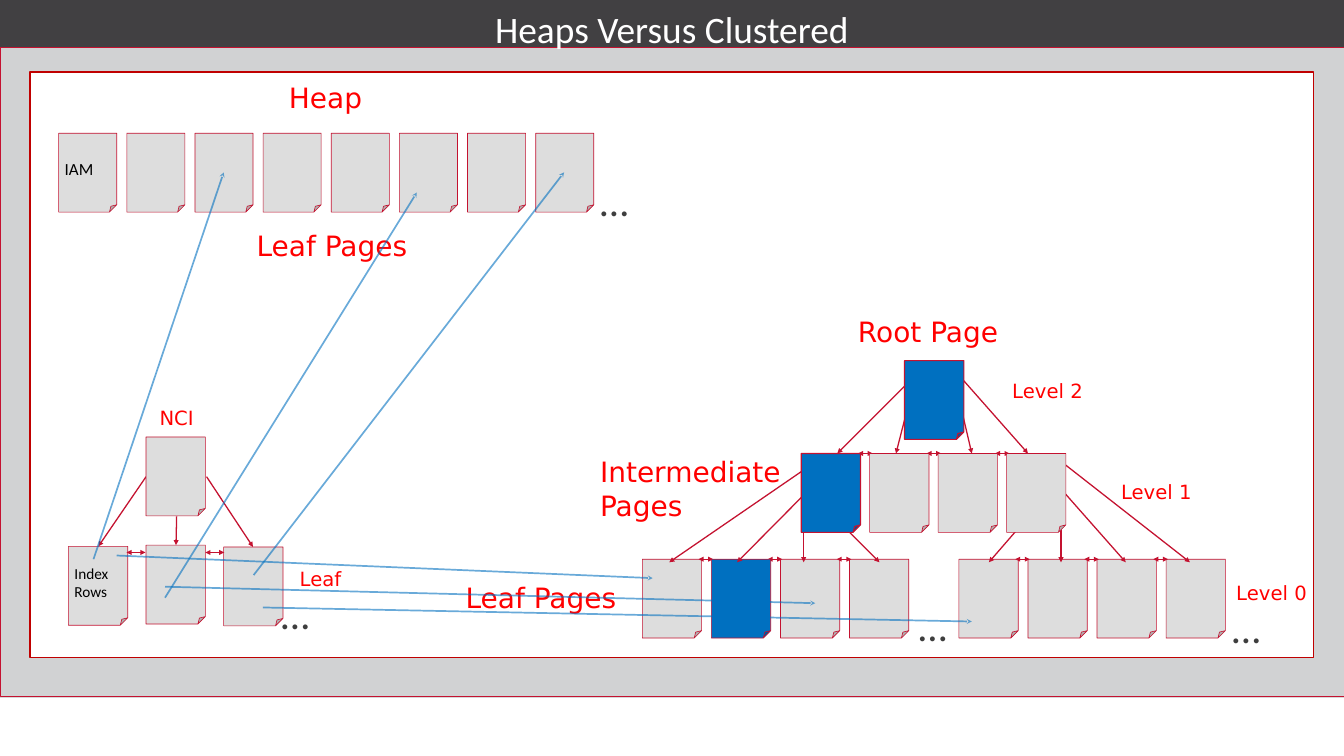
"""Build a slide comparing heap pages with the pages of a clustered index."""
from lxml.etree import SubElement
from pptx import Presentation
from pptx.dml.color import RGBColor
from pptx.enum.shapes import MSO_CONNECTOR, MSO_SHAPE
from pptx.enum.text import MSO_ANCHOR, MSO_AUTO_SIZE, PP_ALIGN
from pptx.oxml.ns import qn
from pptx.util import Inches, Pt

DARK = RGBColor(0x41, 0x40, 0x42)
PANEL = RGBColor(0xD1, 0xD2, 0xD3)
RULE = RGBColor(0xD8, 0xD8, 0xD8)
PAGE = RGBColor(0xDD, 0xDD, 0xDD)
WHITE = RGBColor(0xFF, 0xFF, 0xFF)
BLACK = RGBColor(0, 0, 0)
DOTS = RGBColor(0x3E, 0x3E, 0x3E)
CRIMSON = RGBColor(0xC4, 0x12, 0x30)
FRAME = RGBColor(0xC0, 0, 0)
RED = RGBColor(0xFF, 0, 0)
BLUE = RGBColor(0, 0x70, 0xC0)

W, H = 21.99, 12.37
BAR_H, PANEL_END = 0.78, 11.39
PAGE_W, PAGE_H = 0.97, 1.29
HEAP_W, HEAP_STEP = 0.95, 1.115
STEP = 1.13
HEAP_X, HEAP_Y = 0.96, 2.18
ROOT_X, ROOT_Y = 14.8, 5.9
MID_X, MID_Y = 13.11, 7.42
LEAF_Y = 9.15
LEAF_STARTS = (10.51, 15.69)
NCI_X, NCI_Y, NCI_STEP = 2.39, 7.15, 1.27
NCI_LINK_Y = 9.04

TITLE = "Heaps Versus Clustered"
NCI_LEAVES = [(8.94, "Index\nRows"), (8.92, ""), (8.95, "")]
HEADINGS = [
    ("Heap", 4.63, 1.27, 1.64, 0.66),
    ("Leaf Pages", 4.1, 3.69, 2.7, 0.66),
    ("Leaf Pages", 7.52, 9.45, 3.16, 0.66),
    ("Root Page", 13.94, 5.1, 2.54, 0.66),
    ("Intermediate Pages", 9.72, 7.39, 3.56, 1.21),
]
LABELS = [
    ("Level 0", 20.02, 9.45, 1.57),
    ("Level 1", 17.82, 7.8, 2.2),
    ("Level 2", 16.04, 6.15, 2.2),
    ("Leaf", 4.46, 9.23, 1.57),
    ("NCI", 2.43, 6.6, 0.92),
]
ELLIPSES = [(9.72, 2.82), (14.93, 9.78), (20.06, 9.81), (4.5, 9.59)]
TREE_ARROWS = [
    (13.15, 7.69, 10.95, 9.2), (13.15, 8.65, 13.15, 9.2),
    (13.84, 8.65, 14.39, 9.2), (17.36, 7.55, 19.47, 9.2),
    (17.36, 8, 18.42, 9.2), (17.36, 8.6, 17.36, 9.2),
    (16.7, 8.6, 16.18, 9.2), (14.8, 6.87, 14.66, 7.42),
    (15.76, 6.22, 16.82, 7.42), (15.76, 6.82, 15.9, 7.42),
]
BLUE_LEAF_ARROW = (13.15, 8.1, 12.06, 9.2)
BLUE_MID_ARROW = (14.8, 6.32, 13.7, 7.42)
NCI_ARROWS = [
    (3.38, 7.8, 4.14, 8.95), (2.89, 8.45, 2.88, 8.92), (2.39, 7.8, 1.61, 8.94),
]
LOOKUPS = [
    (1.91, 9.09, 10.68, 9.46), (2.7, 9.6, 13.34, 9.87), (4.3, 9.94, 15.9, 10.17),
    (1.53, 9.15, 3.66, 2.82), (2.7, 9.78, 6.82, 3.15), (4.15, 9.41, 9.23, 2.82),
]

prs = Presentation()
prs.slide_width, prs.slide_height = Inches(W), Inches(H)
s = prs.slides.add_slide(prs.slide_layouts[5])


def style(tf, size, font, color, align=PP_ALIGN.LEFT):
    for p in tf.paragraphs:
        p.alignment = align
        for r in p.runs:
            r.font.size, r.font.name = Pt(size), font
            r.font.color.rgb = color


def box(kind, x, y, w, h, fill, line=None, width=0.75):
    sp = s.shapes.add_shape(kind, Inches(x), Inches(y), Inches(w), Inches(h))
    sp.shadow.inherit = False
    sp.fill.solid()
    sp.fill.fore_color.rgb = fill
    if line is None:
        sp.line.fill.background()
    else:
        sp.line.color.rgb, sp.line.width = line, Pt(width)
    return sp


def page(x, y, fill=PAGE, w=PAGE_W, width=0.75, text="", size=18):
    sp = box(MSO_SHAPE.FOLDED_CORNER, x, y, w, PAGE_H, fill, CRIMSON, width)
    guides = sp.element.spPr.find(qn("a:prstGeom")).find(qn("a:avLst"))
    SubElement(guides, qn("a:gd"), name="adj", fmla="val 12500")
    if text:
        tf = sp.text_frame
        tf.text, tf.word_wrap = text, True
        tf.vertical_anchor = MSO_ANCHOR.MIDDLE
        style(tf, size, "Calibri", BLACK)


def line(ends, color=CRIMSON, width=1.5, head=None, tail=None, alpha=None):
    c = s.shapes.add_connector(MSO_CONNECTOR.STRAIGHT, *map(Inches, ends))
    c.line.color.rgb, c.line.width = color, Pt(width)
    props = c.element.spPr
    ln = props.find(qn("a:ln"))
    if alpha:
        SubElement(ln.find(".//" + qn("a:srgbClr")), qn("a:alpha"), val=str(alpha * 1000))
    for tag, kind in (("a:headEnd", head), ("a:tailEnd", tail)):
        if kind:
            SubElement(ln, qn(tag), type=kind)
    SubElement(props, qn("a:effectLst"))


def arrow(ends):
    line(ends, tail="triangle")


def sibling_link(x, y, length=0.24):
    line((x, y, x + length, y), width=0.75, head="triangle", tail="triangle")


def label(text, x, y, w, h, size, font="DejaVu Sans", color=RED, align=PP_ALIGN.LEFT):
    tf = s.shapes.add_textbox(*map(Inches, (x, y, w, h))).text_frame
    tf.text, tf.word_wrap = text, True
    style(tf, size, font, color, align)


box(MSO_SHAPE.RECTANGLE, 0, 0, W, BAR_H, DARK)
line((0, 11.4, W, 11.4), RULE, 2)
box(MSO_SHAPE.RECTANGLE, 0, BAR_H, W, PANEL_END - BAR_H, PANEL, CRIMSON)
box(MSO_SHAPE.RECTANGLE, 0.49, 1.18, 21, 9.58, WHITE, FRAME, 2)

title = s.shapes.title
s.shapes.element.append(title.element)
title.left, title.top, title.width, title.height = map(Inches, (6.16, 0.1, 9.67, 0.74))
tf = title.text_frame
tf.text, tf.auto_size = TITLE, MSO_AUTO_SIZE.NONE
tf.vertical_anchor = MSO_ANCHOR.MIDDLE
tf.margin_left = tf.margin_right = tf.margin_top = tf.margin_bottom = 0
style(tf, 44, "Calibri", WHITE, PP_ALIGN.CENTER)

for start in LEAF_STARTS:
    for i in range(4):
        if (start, i) != (LEAF_STARTS[0], 1):
            page(start + i * STEP, LEAF_Y)
    for i in range(3):
        sibling_link(start + 0.92 + i * STEP, LEAF_Y)
for i in range(3):
    sibling_link(14.04 + i * 1.12, MID_Y)
for ends in TREE_ARROWS:
    arrow(ends)
for i in range(1, 4):
    page(MID_X + i * 1.12, MID_Y)
page(LEAF_STARTS[0] + STEP, LEAF_Y, BLUE)
arrow(BLUE_LEAF_ARROW)
page(MID_X, MID_Y, BLUE, width=1.25)
arrow(BLUE_MID_ARROW)
page(ROOT_X, ROOT_Y, BLUE, width=1.25)

for i in range(8):
    page(HEAP_X + i * HEAP_STEP, HEAP_Y, w=HEAP_W, text="" if i else "IAM", size=20)

for i, (y, text) in enumerate(NCI_LEAVES):
    page(NCI_X + (i - 1) * NCI_STEP, y, text=text)
for ends in NCI_ARROWS:
    arrow(ends)
page(NCI_X, NCI_Y)
for x in (2.07, 3.36):
    sibling_link(x, NCI_LINK_Y, 0.31)

for text, *place in HEADINGS:
    label(text, *place, 33)
for text, *place in LABELS:
    label(text, *place, 0.49, 23.1, align=PP_ALIGN.CENTER)
for x, y in ELLIPSES:
    label("…", x, y, 0.65, 0.91, 48, "Calibri", DOTS)
for ends in LOOKUPS:
    line(ends, BLUE, 2, tail="stealth", alpha=59)

prs.save("out.pptx")
